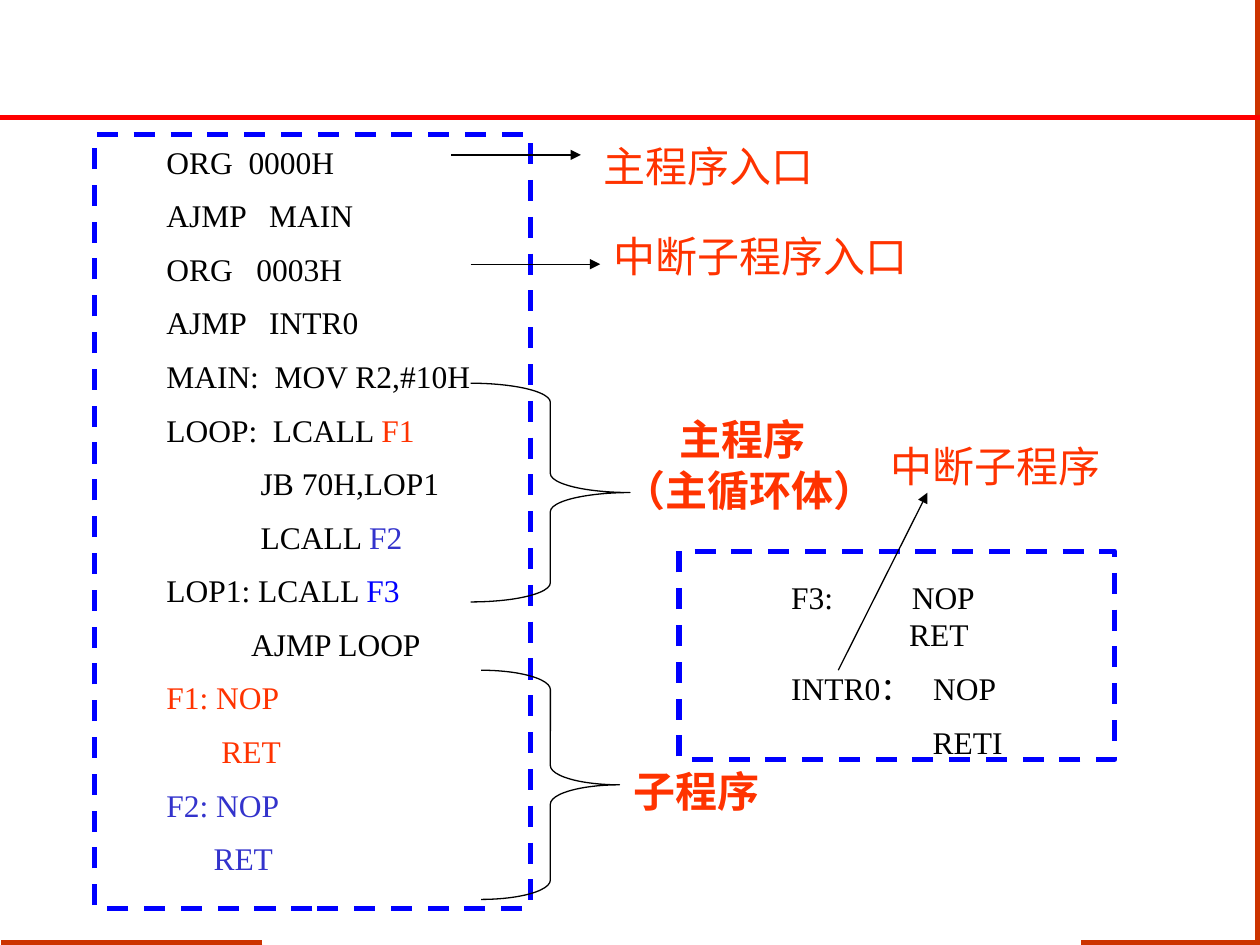
from lxml import etree
from pptx import Presentation
from pptx.dml.color import RGBColor
from pptx.enum.dml import MSO_LINE
from pptx.enum.shapes import MSO_CONNECTOR, MSO_SHAPE
from pptx.oxml.ns import qn
from pptx.util import Pt

DASH = MSO_LINE.DASH
STRAIGHT = MSO_CONNECTOR.STRAIGHT
RECTANGLE = MSO_SHAPE.RECTANGLE
RIGHT_BRACE = MSO_SHAPE.RIGHT_BRACE

FONT = "Times New Roman"
COLORS = {"black": "000000", "orange": "FF3300", "indigo": "3333CC",
          "blue": "0000FF", "red": "FF0000", "rust": "CC3300"}

PROGRAM = [
    [("ORG  0000H", "black")],
    [("AJMP   MAIN", "black")],
    [("ORG   0003H", "black")],
    [("AJMP   INTR0", "black")],
    [("MAIN:  MOV R2,#10H", "black")],
    [("LOOP:  LCALL ", "black"), ("F1", "orange")],
    [("            JB 70H,LOP1", "black")],
    [("            LCALL ", "black"), ("F2", "indigo")],
    [("LOP1: LCALL ", "black"), ("F3", "blue")],
    [("           AJMP LOOP", "black")],
    [("F1: NOP", "orange")],
    [("       RET", "orange")],
    [("F2: NOP", "indigo")],
    [("      RET", "indigo")],
]
HANDLER = [
    [("F3:          NOP", "black")],
    [("               RET", "black")],
    [("INTR0：   NOP", "black")],
    [("                  RETI", "black")],
]


def color(name):
    """Return the named colour."""
    return RGBColor.from_string(COLORS[name])


def add_text(slide, box, lines, size=18, bold=False, gaps=(), indents=()):
    """Write lines of (text, colour) runs with optional gaps and indents by line."""
    frame = slide.shapes.add_textbox(*map(Pt, box)).text_frame
    frame.word_wrap = True
    for index, runs in enumerate(lines):
        line = frame.paragraphs[0] if index == 0 else frame.add_paragraph()
        line.line_spacing = Pt(size * 1.2)
        if index < len(gaps):
            line.space_before = Pt(gaps[index])
        if index < len(indents):
            line._p.get_or_add_pPr().set("marL", str(Pt(indents[index])))
        for text, tint in runs:
            run = line.add_run()
            run.text = text
            run.font.name = FONT
            run.font.size = Pt(size)
            run.font.bold = bold
            run.font.color.rgb = color(tint)


def add_label(slide, left, top, *texts, **style):
    """Write an orange caption."""
    box = (left, top, 200, 36 * len(texts))
    add_text(slide, box, [[(text, "orange")] for text in texts], size=24, **style)


def add_line(slide, start, end, tint="black", width=0.75, arrow=False):
    """Draw a straight line, with an arrowhead at its end if wanted."""
    line = slide.shapes.add_connector(STRAIGHT, *map(Pt, start + end))
    line.line.color.rgb = color(tint)
    line.line.width = Pt(width)
    if arrow:
        etree.SubElement(line.line._get_or_add_ln(), qn("a:tailEnd"), type="triangle")
    etree.SubElement(line._element.spPr, qn("a:effectLst"))


def add_outline(slide, preset, box, tint="black", width=0.75):
    """Draw an unfilled preset shape and return it."""
    outline = slide.shapes.add_shape(preset, *map(Pt, box))
    outline.shadow.inherit = False
    outline.fill.background()
    outline.line.color.rgb = color(tint)
    outline.line.width = Pt(width)
    return outline


def add_brace(slide, box, curl):
    """Draw a right brace with the given curl."""
    add_outline(slide, RIGHT_BRACE, box).adjustments[0] = curl


def add_panel(slide, box):
    """Draw a dashed blue panel."""
    add_outline(slide, RECTANGLE, box, "blue", 3).line.dash_style = DASH


def draw_border(slide, left, top, width, height):
    """Draw the title rule and the rust edge lines."""
    right, bottom = left + width, top + height
    edge, base = right - 1.5, bottom - 1.5
    add_line(slide, (left + 150, base), (left + 0.5, base), "rust", 3)
    add_line(slide, (edge, bottom), (edge, top), "rust", 3)
    add_line(slide, (right - 3, base), (right - 102, base), "rust", 3)
    add_line(slide, (right, top + 67), (left, top + 67), "red", 3)


def draw_program(slide, left, top, width, height):
    """Draw the main program listing with its braces, arrows and captions."""
    add_panel(slide, (left, top, width, height))
    gaps = [0] + [9] * (len(PROGRAM) - 1)
    add_text(slide, (left + 34, top + 1, 227, 427), PROGRAM, gaps=gaps)

    add_brace(slide, (left + 215, top + 142, 91, 125), 0.12)
    add_brace(slide, (left + 221, top + 306, 79, 131), 0.14)
    add_label(slide, left + 295, top + 156, "主程序", "（主循环体）",
              bold=True, indents=(32, 0))
    add_label(slide, left + 301, top + 357, "子程序", bold=True)

    for x, y, caption_x, caption_y, caption in (
            (204, 11.5, 284, 0, "主程序入口"),
            (215, 74, 289.5, 51, "中断子程序入口")):
        add_line(slide, (left + x, top + y), (left + x + 74, top + y), arrow=True)
        add_label(slide, left + caption_x, top + caption_y, caption)


def draw_handler(slide, left, top, width, height):
    """Draw the interrupt handler listing with its caption and arrow."""
    add_text(slide, (left + 57, top + 11.5, 227, 112), HANDLER, gaps=(0, 0, 9, 9))
    add_panel(slide, (left, top, width, height))
    add_label(slide, left + 114, top - 67, "中断子程序")
    add_line(slide, (left + 91, top + 68), (left + 142, top - 33.5), arrow=True)


def main():
    """Build and save the slide."""
    deck = Presentation()
    deck.slide_width, deck.slide_height = Pt(720), Pt(540)
    slide = deck.slides.add_slide(deck.slide_layouts[6])
    draw_border(slide, 0, 0, 720, 540)
    draw_program(slide, 54, 77, 249, 442)
    draw_handler(slide, 388, 315, 249, 119)
    deck.save("out.pptx")


if __name__ == "__main__":
    main()
